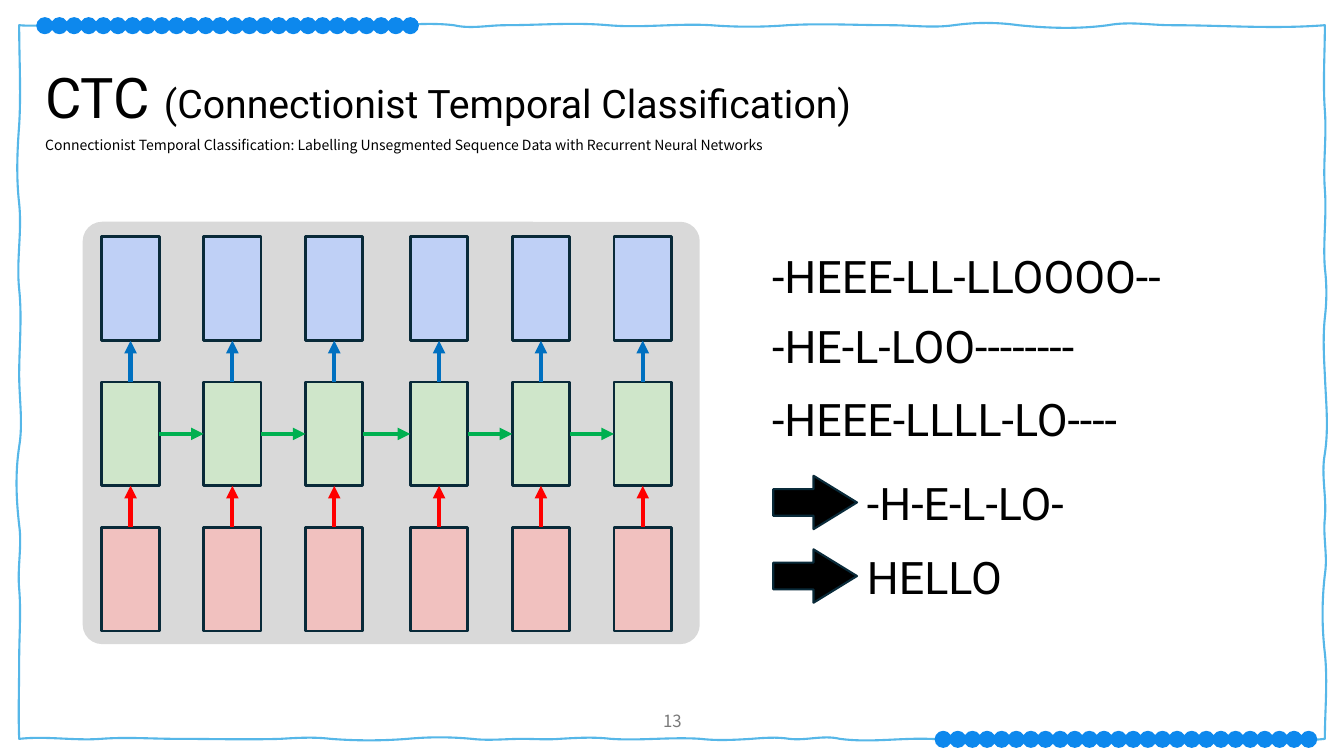
"""Build the CTC slide on a grid of one-inch columns and rows."""
from lxml import etree
from pptx import Presentation
from pptx import util as u
from pptx.dml.color import RGBColor
from pptx.enum import shapes, text
from pptx.oxml.ns import qn

COLUMNS, ROWS = 13.33, 7.5
HEADING_FONT, BODY_FONT = "Roboto", "Noto Sans CJK KR"
COLORS = {
    "ink": "000000", "outline": "092A39", "page": "797979",
    "frame": "56B7E8", "dot": "0D88ED", "panel": "D9D9D9",
    "input": "F1C1BF", "hidden": "CFE6CA", "output": "BFD0F6",
    "feed": "FF0000", "step": "00B050", "emit": "0070C0",
}
LEFT, TOP, RIGHT, BOTTOM = 0.19, 0.25, 13.14, 7.33
TOP_WAVES = [
    (LEFT, 0.02), (0.82, 0.03), (1.19, -0.01), (2.22, 0.04), (2.85, -0.02),
    (3.48, 0.03), (4.5, 0.04), (5.01, 0), (6.03, 0.03), (7.05, 0.02),
    (7.81, -0.02), (8.83, 0), (9.46, -0.03), (10.1, 0.03), (10.99, -0.04),
    (11.62, 0), (RIGHT, -0.04)]
RIGHT_WAVES = [
    (TOP, 0), (1.1, 0.02), (1.88, 0.02), (2.66, 0.02), (3.15, -0.02),
    (3.72, 0.01), (4.5, -0.04), (5.14, -0.02), (5.7, -0.03), (6.48, 0.03),
    (BOTTOM, 0)]
BOTTOM_WAVES = [
    (RIGHT, 0.03), (12.38, 0.01), (11.88, 0.01), (10.99, 0.02),
    (10.49, -0.01), (9.59, -0.03), (9.22, -0.01), (8.33, -0.04),
    (7.83, -0.02), (7.45, 0.01), (6.95, -0.02), (6.06, -0.02), (5.55, 0.01),
    (5.18, 0), (4.68, -0.02), (4.04, 0.02), (3.28, -0.02), (2.78, 0.01),
    (1.76, 0), (1, 0.02), (LEFT, 0.03)]
LEFT_WAVES = [
    (BOTTOM, -0.01), (6.55, 0), (5.84, -0.02), (5.21, -0.03), (4.43, 0.04),
    (3.72, 0), (2.87, -0.03), (2.02, -0.03), (1.24, 0.02), (TOP, 0)]
DOT_COUNT, DOT_PITCH, DOT_SIZE = 26, 0.145, 0.17
CELL_LEFTS = [1.01, 2.02, 3.03, 4.07, 5.08, 6.09]
CELL_WIDTH, CELL_HEIGHT = 0.57, 1.03
LAYER_TOPS = {"output": 2.35, "hidden": 3.79, "input": 5.23}


def color(name):
    """Return a palette colour."""
    return RGBColor.from_string(COLORS[name])


def place(*lengths):
    """Turn grid columns and rows into slide lengths."""
    return [u.Inches(length) for length in lengths]


def write(frame, runs, font, ink="ink", align=text.PP_ALIGN.LEFT,
          anchor=text.MSO_ANCHOR.TOP):
    """Fill a text frame with one paragraph of (wording, size) runs."""
    frame.word_wrap = True
    frame.auto_size = text.MSO_AUTO_SIZE.NONE
    frame.vertical_anchor = anchor
    line = frame.paragraphs[0]
    line.alignment = align
    for wording, size in runs:
        run = line.add_run()
        run.text = wording
        run.font.name = font
        run.font.size = u.Pt(size)
        run.font.color.rgb = color(ink)


def add_label(slide, grid, wording, size, font, **style):
    """Add a text box with a single run."""
    label = slide.shapes.add_textbox(*place(*grid))
    write(label.text_frame, [(wording, size)], font, **style)


def add_block(slide, kind, grid, fill, line_width=0, adjust=()):
    """Add a flat preset shape."""
    block = slide.shapes.add_shape(kind, *place(*grid))
    block.shadow.inherit = False
    block.fill.solid()
    block.fill.fore_color.rgb = color(fill)
    for index, value in enumerate(adjust):
        block.adjustments[index] = value
    if line_width:
        block.line.color.rgb = color("outline")
        block.line.width = u.Pt(line_width)
    else:
        block.line.fill.background()


def add_arrow(slide, start, end, ink):
    """Add a straight arrow between two grid points."""
    arrow = slide.shapes.add_connector(
        shapes.MSO_CONNECTOR.STRAIGHT, *place(*start, *end))
    arrow.line.color.rgb = color(ink)
    arrow.line.width = u.Pt(3)
    etree.SubElement(arrow.line._get_or_add_ln(), qn("a:tailEnd"),
                     type="triangle")
    etree.SubElement(arrow._element.spPr, qn("a:effectLst"))


def wave(knots, base):
    """Give the two handles and the end of each curve along a side."""
    for (start, lean), (end, next_lean) in zip(knots, knots[1:]):
        third = (end - start) / 3
        yield [(start + third, base + lean), (end - third, base - next_lean),
               (end, base)]


def upright(curves):
    """Swap the axes of a side's curves."""
    return [[(x, y) for y, x in curve] for curve in curves]


def add_frame(slide):
    """Draw the wavy border."""
    curves = [*wave(TOP_WAVES, TOP), *upright(wave(RIGHT_WAVES, RIGHT)),
              *wave(BOTTOM_WAVES, BOTTOM), *upright(wave(LEFT_WAVES, LEFT))]
    pen = slide.shapes.build_freeform(*place(LEFT, TOP))
    pen.add_line_segments([place(*curve[-1]) for curve in curves], close=True)
    border = pen.convert_to_shape()
    straights = list(border._element.iter(qn("a:lnTo")))
    for straight, curve in zip(straights, curves):
        bend = etree.Element(qn("a:cubicBezTo"))
        for x, y in curve:
            across, down = place(x - LEFT, y - TOP)
            etree.SubElement(bend, qn("a:pt"), x=str(across), y=str(down))
        straight.getparent().replace(straight, bend)
    border.shadow.inherit = False
    border.fill.background()
    border.line.color.rgb = color("frame")
    border.line.width = u.Pt(1.5)


def add_dots(slide, left, top):
    """Add a row of overlapping dots."""
    for index in range(DOT_COUNT):
        grid = (left + index * DOT_PITCH, top, DOT_SIZE, DOT_SIZE)
        add_block(slide, shapes.MSO_SHAPE.OVAL, grid, "dot")


def add_network(slide):
    """Draw the unrolled recurrent network."""
    add_block(slide, shapes.MSO_SHAPE.ROUNDED_RECTANGLE,
              (0.82, 2.2, 6.12, 4.19), "panel", adjust=[0.046])
    for left in CELL_LEFTS:
        for layer, top in LAYER_TOPS.items():
            add_block(slide, shapes.MSO_SHAPE.RECTANGLE,
                      (left, top, CELL_WIDTH, CELL_HEIGHT), layer, 2)
        middle = left + CELL_WIDTH / 2
        for source, target, ink in (("input", "hidden", "feed"),
                                    ("hidden", "output", "emit")):
            add_arrow(slide, (middle, LAYER_TOPS[source]),
                      (middle, LAYER_TOPS[target] + CELL_HEIGHT), ink)
    level = LAYER_TOPS["hidden"] + CELL_HEIGHT / 2
    for left, following in zip(CELL_LEFTS, CELL_LEFTS[1:]):
        add_arrow(slide, (left + CELL_WIDTH, level), (following, level), "step")


def add_decoding(slide):
    """Show the alignments and the two collapsing steps."""
    for top, width, alignment in ((2.42, 4.94, "-HEEE-LL-LLOOOO--"),
                                  (3.11, 4.85, "-HE-L-LOO--------"),
                                  (3.84, 4.73, "-HEEE-LLLL-LO----")):
        add_label(slide, (7.56, top, width, 0.64), alignment, 32, HEADING_FONT)
    for top, width, collapsed in ((4.67, 2.92, "-H-E-L-LO-"),
                                  (5.4, 1.59, "HELLO")):
        add_label(slide, (8.5, top, width, 0.64), collapsed, 32, HEADING_FONT)
        add_block(slide, shapes.MSO_SHAPE.RIGHT_ARROW,
                  (7.67, top + 0.05, 0.83, 0.53), "ink", 1.5, [0.5, 0.813])


def main():
    """Assemble and save the slide."""
    deck = Presentation()
    deck.slide_width, deck.slide_height = place(COLUMNS, ROWS)
    slide = deck.slides.add_slide(deck.slide_layouts[5])
    title = slide.shapes.title
    title.left, title.top, title.width, title.height = place(
        0.35, 0.57, 12.33, 0.77)
    write(title.text_frame,
          [("CTC ", 40), ("(Connectionist Temporal Classification)", 28)],
          HEADING_FONT)
    add_label(slide, (5.17, 6.95, 3, 0.4), "13", 12, BODY_FONT, ink="page",
              align=text.PP_ALIGN.CENTER, anchor=text.MSO_ANCHOR.MIDDLE)
    add_frame(slide)
    add_dots(slide, 0.36, 0.17)
    add_dots(slide, 9.27, 7.25)
    add_label(slide, (0.35, 1.31, 7.34, 0.27),
              "Connectionist Temporal Classification: Labelling Unsegmented "
              "Sequence Data with Recurrent Neural Networks", 10, BODY_FONT)
    add_network(slide)
    add_decoding(slide)
    deck.save("out.pptx")


if __name__ == "__main__":
    main()
